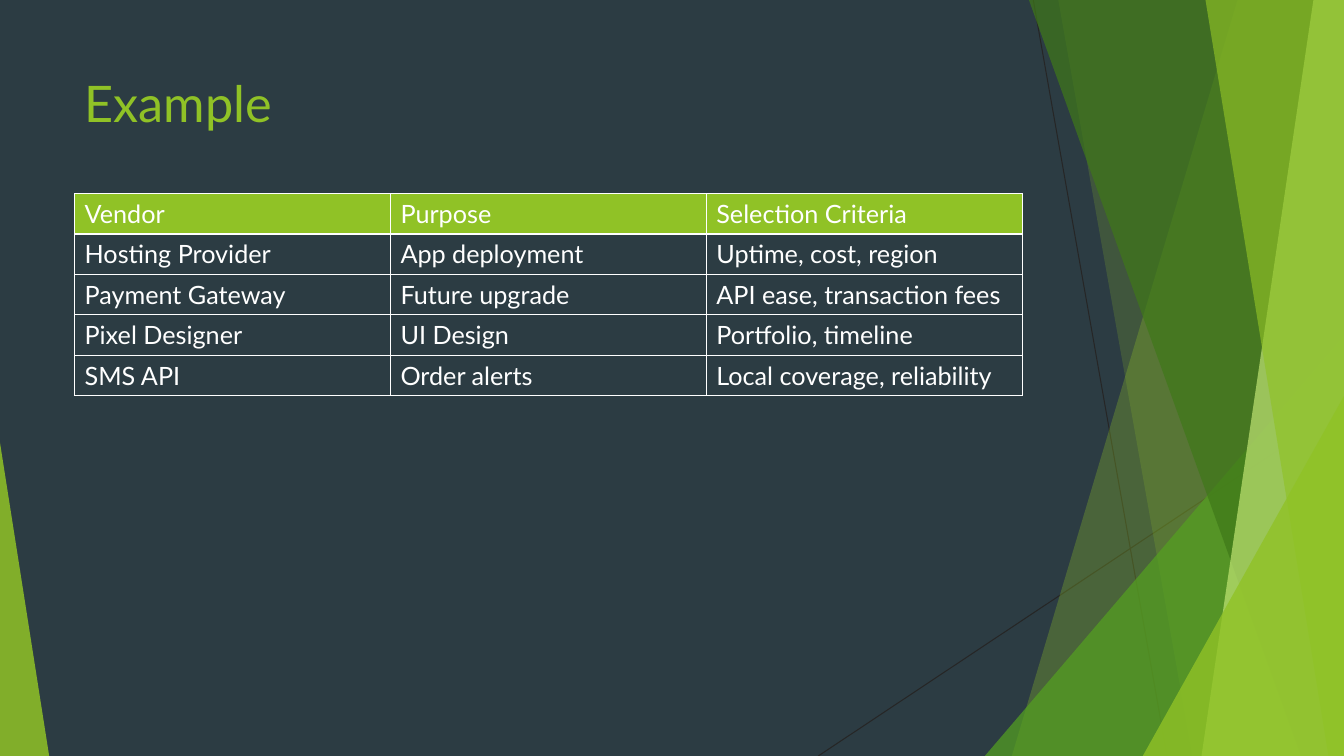
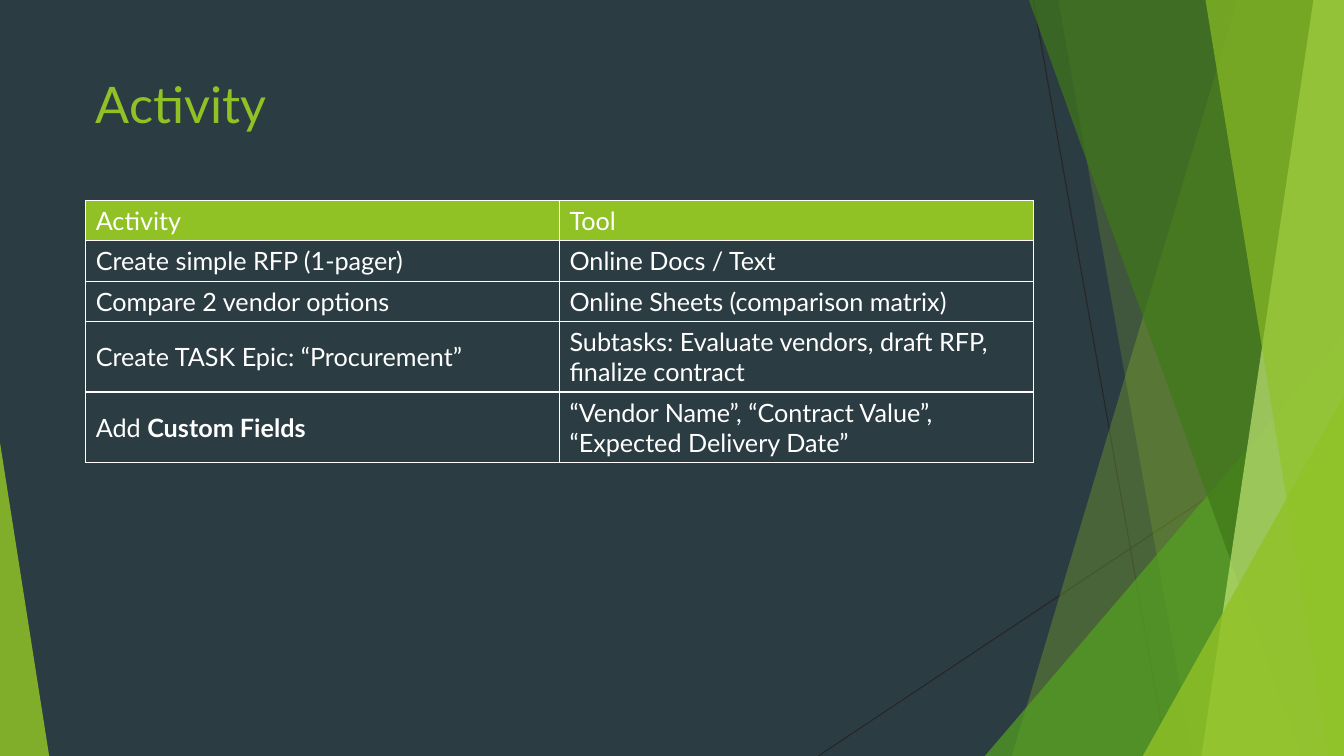
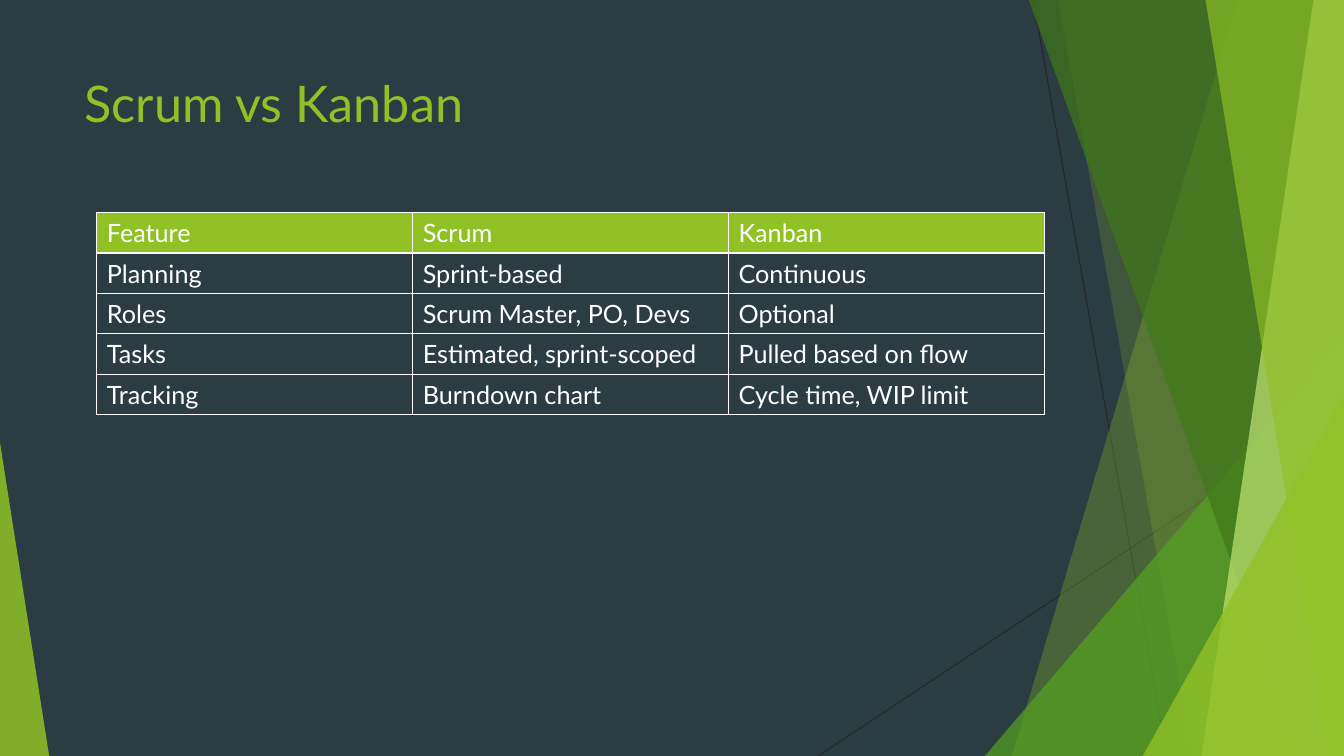
import pptx
import pptx.dml.color
import pptx.enum.shapes
import pptx.enum.text
import pptx.oxml
import pptx.oxml.ns
import pptx.util
from lxml import etree
from pptx.util import Cm

FONT = "Lato"
BACKGROUND, GREEN, WHITE, LINE = "2C3C43", "90C226", "FFFFFF", "262626"
SLIDE_WIDTH, SLIDE_HEIGHT = 33.87, 19.05
CONTENT_WIDTH, TITLE_HEIGHT = 23.88, 3.66
CELL_PADDING, TEXT_LINE_HEIGHT = 0.25, 0.76

# Lengths are in centimetres. A cell is a string, or a list of (text, bold) runs.
SLIDES = [
    {
        "title": "Example",
        "title_at": (1.88, 1.7),
        "table_at": (1.88, 4.88),
        "lines_per_row": [1, 1, 1, 1, 1],
        "rows": [
            ["Vendor", "Purpose", "Selection Criteria"],
            ["Hosting Provider", "App deployment", "Uptime, cost, region"],
            ["Payment Gateway", "Future upgrade", "API ease, transaction fees"],
            ["Pixel Designer", "UI Design", "Portfolio, timeline"],
            ["SMS API", "Order alerts", "Local coverage, reliability"],
        ],
    },
    {
        "title": "Activity",
        "title_at": (2.16, 1.73),
        "table_at": (2.16, 5.05),
        "lines_per_row": [1, 1, 1, 2, 2],
        "rows": [
            ["Activity", "Tool"],
            ["Create simple RFP (1-pager)", "Online Docs / Text"],
            ["Compare 2 vendor options", "Online Sheets (comparison matrix)"],
            ["Create TASK Epic: “Procurement”",
             "Subtasks: Evaluate vendors, draft RFP, finalize contract"],
            [[("Add ", False), ("Custom Fields", True)],
             "“Vendor Name”, “Contract Value”, “Expected Delivery Date”"],
        ],
    },
    {
        "title": "Scrum vs Kanban",
        "title_at": (1.88, 1.7),
        "table_at": (2.44, 5.36),
        "lines_per_row": [1, 1, 1, 1, 1],
        "rows": [
            ["Feature", "Scrum", "Kanban"],
            ["Planning", "Sprint-based", "Continuous"],
            ["Roles", "Scrum Master, PO, Devs", "Optional"],
            ["Tasks", "Estimated, sprint-scoped", "Pulled based on flow"],
            ["Tracking", "Burndown chart", "Cycle time, WIP limit"],
        ],
    },
]

THIN_LINES = [
    (26.04, 0, 29.41, SLIDE_HEIGHT),
    (SLIDE_WIDTH, 10.24, 20.62, SLIDE_HEIGHT),
]
# Back to front. A band runs from its slanted left edge to the right slide edge:
# (kind, top x, bottom x, colour, opacity in percent).
# A triangle stands on the bottom slide edge:
# (kind, left, top, width, apex position, colour, opacity in percent).
FACETS = [
    ("band", 31.19, 25.5, GREEN, 30),
    ("band", 26.67, 30.05, GREEN, 20),
    ("triangle", 24.82, 8.46, 9.05, 1, "54A021", 72),
    ("band", 25.93, 32.79, "3F7819", 70),
    ("band", 33.1, 30.28, "C0E474", 70),
    ("band", 30.38, 33.48, GREEN, 65),
    ("triangle", 28.8, 9.98, 5.07, 1, GREEN, 80),
    ("triangle", 0, 11.15, 1.24, 0, GREEN, 85),
]


def color(hex_string):
    return pptx.dml.color.RGBColor.from_string(hex_string)


def set_fill(shape, hex_string, opacity):
    """Fill a shape with a see-through colour, without line or shadow."""
    shape.shadow.inherit = False
    shape.line.fill.background()
    shape.fill.solid()
    shape.fill.fore_color.rgb = color(hex_string)
    color_element = shape.fill._xPr.find(".//" + pptx.oxml.ns.qn("a:srgbClr"))
    alpha = etree.SubElement(color_element, pptx.oxml.ns.qn("a:alpha"))
    alpha.set("val", str(opacity * 1000))


def add_thin_line(slide, ends):
    connector = slide.shapes.add_connector(
        pptx.enum.shapes.MSO_CONNECTOR.STRAIGHT, *map(Cm, ends))
    connector.line.color.rgb = color(LINE)
    connector.line.width = pptx.util.Pt(0.75)
    etree.SubElement(connector._element.spPr, pptx.oxml.ns.qn("a:effectLst"))


def add_band(slide, top_x, bottom_x):
    builder = slide.shapes.build_freeform(Cm(top_x), 0)
    corners = [(SLIDE_WIDTH, 0), (SLIDE_WIDTH, SLIDE_HEIGHT), (bottom_x, SLIDE_HEIGHT)]
    builder.add_line_segments([(Cm(x), Cm(y)) for x, y in corners])
    return builder.convert_to_shape()


def add_triangle(slide, left, top, width, apex):
    triangle = slide.shapes.add_shape(
        pptx.enum.shapes.MSO_SHAPE.ISOSCELES_TRIANGLE,
        Cm(left), Cm(top), Cm(width), Cm(SLIDE_HEIGHT - top))
    triangle.adjustments[0] = apex
    return triangle


def add_decoration(slide):
    for ends in THIN_LINES:
        add_thin_line(slide, ends)
    builders = {"band": add_band, "triangle": add_triangle}
    for kind, *geometry, hex_string, opacity in FACETS:
        set_fill(builders[kind](slide, *geometry), hex_string, opacity)


def add_run(paragraph, text, size, hex_string, bold=False):
    run = paragraph.add_run()
    run.text = text
    run.font.name = FONT
    run.font.size = pptx.util.Pt(size)
    run.font.bold = bold
    run.font.color.rgb = color(hex_string)


def add_title(slide, text, left, top):
    box = slide.shapes.add_textbox(Cm(left), Cm(top), Cm(CONTENT_WIDTH), Cm(TITLE_HEIGHT))
    box.text_frame.word_wrap = True
    add_run(box.text_frame.paragraphs[0], text, 36, GREEN)


def set_borders(cell):
    """Draw all four cell sides; borders must precede the fill in the XML."""
    properties = cell._tc.get_or_add_tcPr()
    for index, side in enumerate(("lnL", "lnR", "lnT", "lnB")):
        border = pptx.oxml.parse_xml(
            f'<a:{side} {pptx.oxml.ns.nsdecls("a")} w="12700"><a:solidFill>'
            f'<a:srgbClr val="{WHITE}"/></a:solidFill></a:{side}>')
        properties.insert(index, border)


def fill_cell(cell, content, is_header):
    cell.vertical_anchor = pptx.enum.text.MSO_ANCHOR.MIDDLE
    if is_header:
        cell.fill.solid()
        cell.fill.fore_color.rgb = color(GREEN)
    else:
        cell.fill.background()
    set_borders(cell)
    runs = [(content, False)] if isinstance(content, str) else content
    for text, bold in runs:
        add_run(cell.text_frame.paragraphs[0], text, 18, WHITE, bold)


def add_table(slide, rows, lines_per_row, left, top):
    heights = [CELL_PADDING + TEXT_LINE_HEIGHT * lines for lines in lines_per_row]
    column_count = len(rows[0])
    table = slide.shapes.add_table(
        len(rows), column_count,
        Cm(left), Cm(top), Cm(CONTENT_WIDTH), Cm(sum(heights))).table
    table.first_row = False
    table.horz_banding = False
    for column in table.columns:
        column.width = Cm(CONTENT_WIDTH / column_count)
    for row_index, (contents, height) in enumerate(zip(rows, heights)):
        table.rows[row_index].height = Cm(height)
        for column_index, content in enumerate(contents):
            fill_cell(table.cell(row_index, column_index), content, row_index == 0)


def main():
    presentation = pptx.Presentation()
    presentation.slide_width = Cm(SLIDE_WIDTH)
    presentation.slide_height = Cm(SLIDE_HEIGHT)
    background = presentation.slide_master.background.fill
    background.solid()
    background.fore_color.rgb = color(BACKGROUND)
    for content in SLIDES:
        slide = presentation.slides.add_slide(presentation.slide_layouts[6])
        add_decoration(slide)
        add_title(slide, content["title"], *content["title_at"])
        add_table(slide, content["rows"], content["lines_per_row"], *content["table_at"])
    presentation.save("out.pptx")


if __name__ == "__main__":
    main()
